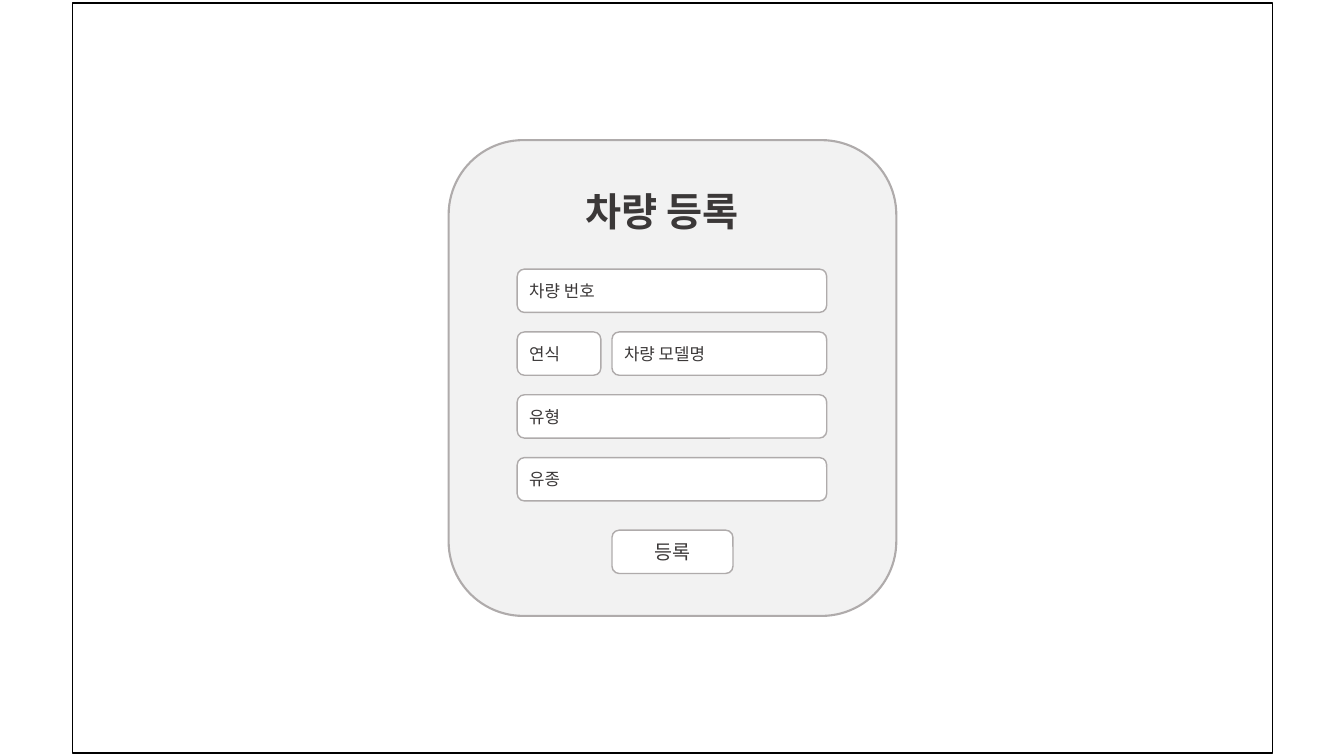
from lxml.etree import SubElement
from pptx import Presentation
from pptx.dml.color import RGBColor
from pptx.enum.shapes import MSO_SHAPE as SHAPE
from pptx.enum.text import MSO_ANCHOR as ANCHOR, MSO_AUTO_SIZE as AUTO, PP_ALIGN as ALIGN
from pptx.oxml.ns import qn
from pptx.util import Inches, Pt

BLACK = RGBColor(0x00, 0x00, 0x00)
WHITE = RGBColor(0xFF, 0xFF, 0xFF)
PANEL = RGBColor(0xF2, 0xF2, 0xF2)
BORDER = RGBColor(0xAF, 0xAB, 0xAB)
INK = RGBColor(0x3B, 0x38, 0x38)
FONT = "Noto Sans CJK KR"

TITLE = "차량 등록"
FIELD_ROWS = [
    [("차량 번호", 3.07)],
    [("연식", 0.83), ("차량 모델명", 2.13)],
    [("유형", 3.07)],
    [("유종", 3.07)],
]
BUTTON = "등록"

FORM_LEFT, FIRST_TOP, LAST_TOP = 5.13, 2.67, 4.54
FIELD_H, FIELD_GAP = 0.43, 0.11
ROW_STEP = (LAST_TOP - FIRST_TOP) / (len(FIELD_ROWS) - 1)


def add_box(s, kind, box, fill, line, width):
    sp = s.shapes.add_shape(kind, *map(Inches, box))
    sp.shadow.inherit = False
    if fill is None:
        sp.fill.background()
    else:
        sp.fill.solid()
        sp.fill.fore_color.rgb = fill
    sp.line.color.rgb = line
    sp.line.width = Pt(width)
    return sp


def write(sp, text, size, align=ALIGN.LEFT, bold=False, **frame):
    tf = sp.text_frame
    for name, value in frame.items():
        setattr(tf, name, value)
    p = tf.paragraphs[0]
    p.alignment = align
    r = p.add_run()
    r.text = text
    r.font.color.rgb = INK
    for name, value in {"size": Pt(size), "bold": bold, "name": FONT}.items():
        setattr(r.font, name, value)
    SubElement(r.font._element, qn("a:ea"), typeface=FONT)


def add_field(s, text, left, top, width, size=12, align=ALIGN.LEFT):
    box = (left, top, width, FIELD_H)
    sp = add_box(s, SHAPE.ROUNDED_RECTANGLE, box, WHITE, BORDER, 1)
    write(sp, text, size, align, vertical_anchor=ANCHOR.MIDDLE, word_wrap=True)


def main():
    prs = Presentation()
    prs.slide_width, prs.slide_height = Inches(13.33), Inches(7.5)
    s = prs.slides.add_slide(prs.slide_layouts[5])

    add_box(s, SHAPE.RECTANGLE, (0.72, 0.03, 11.9, 7.44), None, BLACK, 1)
    add_box(s, SHAPE.ROUNDED_RECTANGLE, (4.45, 1.39, 4.44, 4.72), PANEL, BORDER, 1.5)

    title = s.shapes.title
    s.shapes.element.append(title.element)
    for name, value in zip(("left", "top", "width", "height"), (5.71, 1.81, 1.91, 0.57)):
        setattr(title, name, Inches(value))
    write(title, TITLE, 28, bold=True, vertical_anchor=ANCHOR.TOP,
          word_wrap=False, auto_size=AUTO.SHAPE_TO_FIT_TEXT)

    for i, row in enumerate(FIELD_ROWS):
        left = FORM_LEFT
        for text, width in row:
            add_field(s, text, left, FIRST_TOP + i * ROW_STEP, width)
            left += width + FIELD_GAP
    add_field(s, BUTTON, 6.07, 5.26, 1.2, 14, ALIGN.CENTER)

    prs.save("out.pptx")


if __name__ == "__main__":
    main()
